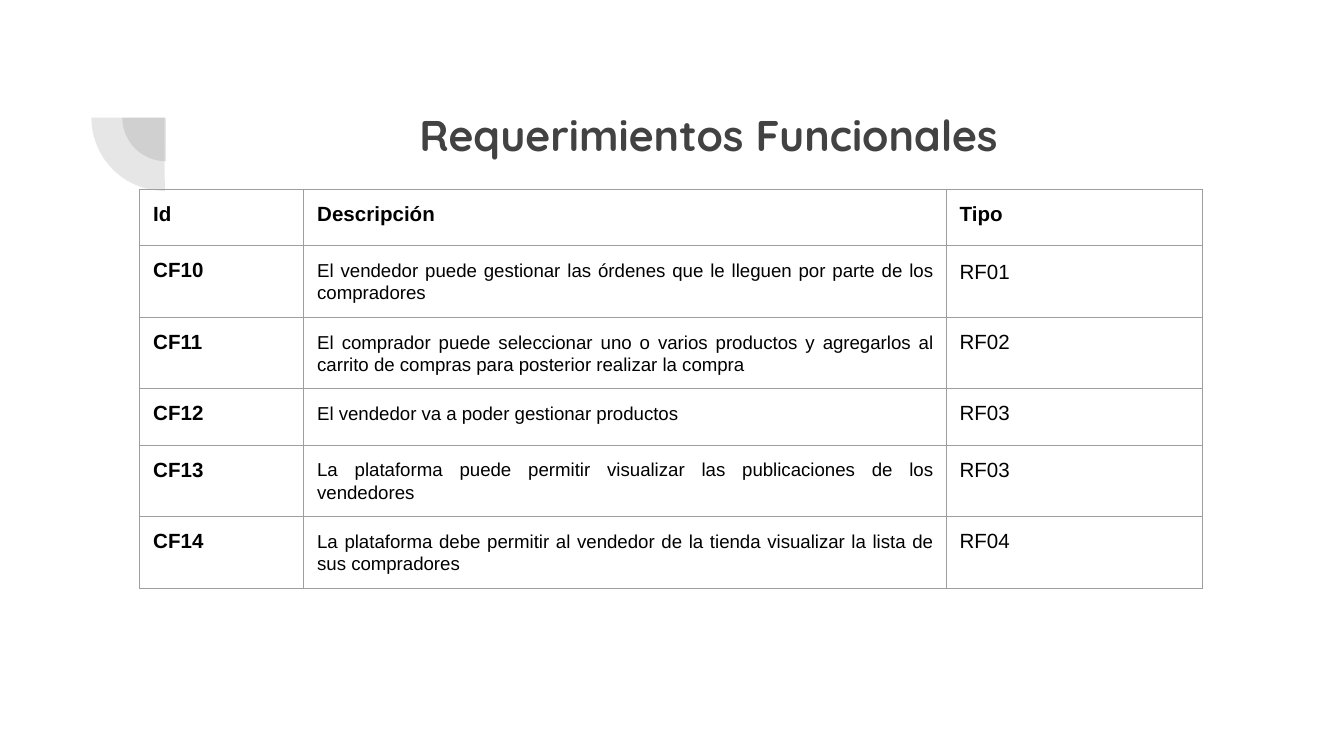
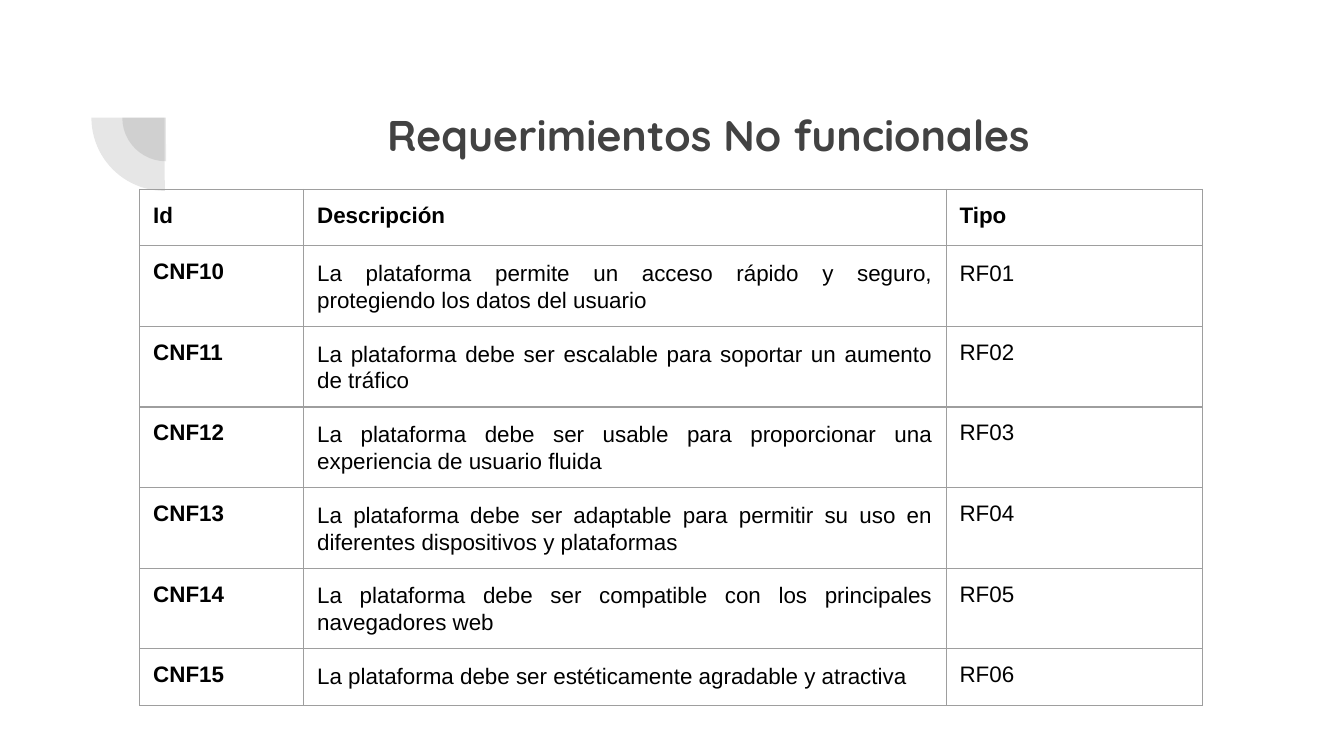
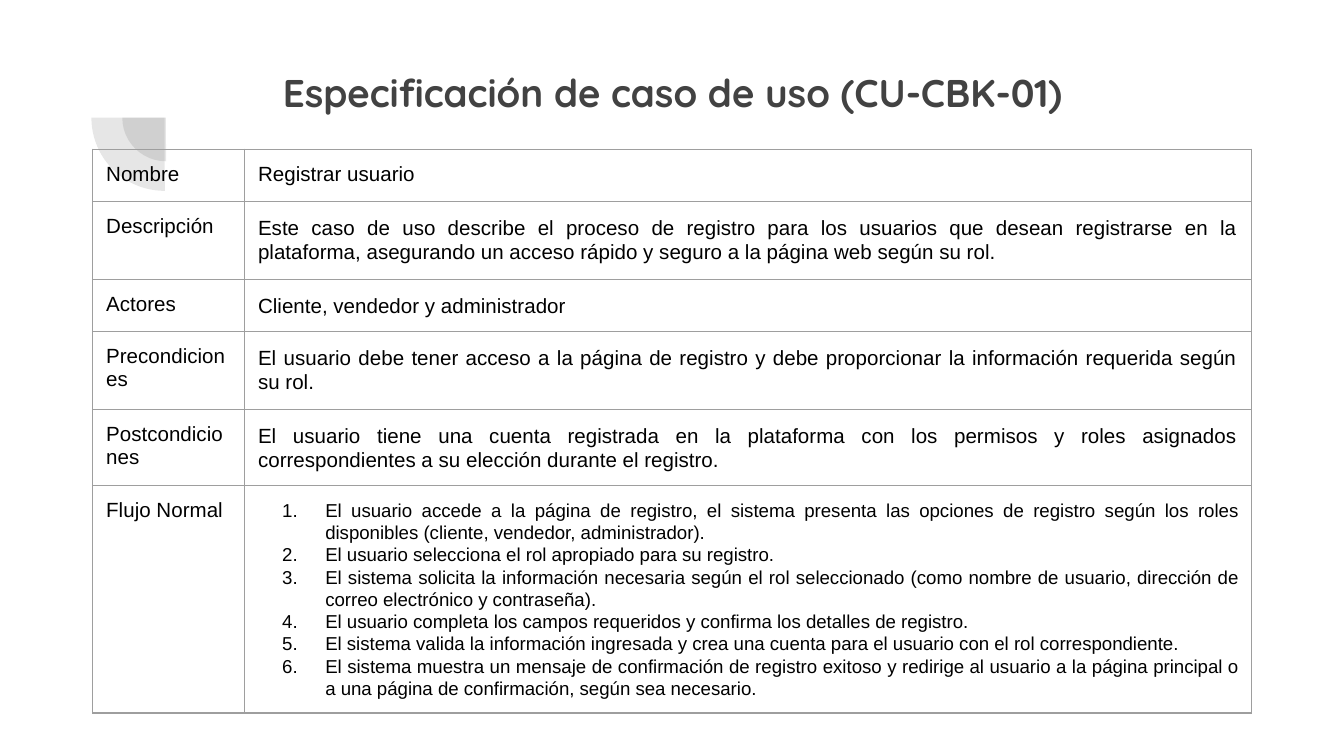
from dataclasses import dataclass

from lxml.etree import SubElement
from pptx import Presentation
from pptx.dml.color import RGBColor as RGB
from pptx.enum.shapes import MSO_SHAPE as Shape
from pptx.enum.text import MSO_ANCHOR as Anchor, MSO_AUTO_SIZE as AutoSize, PP_ALIGN as Align
from pptx.oxml.ns import qn
from pptx.util import Inches, Pt


@dataclass(frozen=True)
class Theme:
    title_font: str = "Quicksand"
    body_font: str = "Arial"
    accent: str = "424242"
    ink: str = "000000"
    border: str = "9E9E9E"
    border_width: float = 0.75
    pie_alpha: int = 13
    title_size: float = 23
    long_title_size: float = 20.7
    large: float = 12
    medium: float = 11
    small: float = 10
    inset: float = 0.1
    title_spacing: float = 1.15
    body_spacing: float = 1.07
    space_after: float = 12


THEME = Theme()
HEADER = ("Id", "Descripción", "Tipo")
REQUIREMENT_COLS = (1.22, 4.78, 1.91)

FUNCTIONAL = [
    ("CF10", "El vendedor puede gestionar las órdenes que le lleguen por parte de los compradores", "RF01"),
    ("CF11", "El comprador puede seleccionar uno o varios productos y agregarlos al carrito de compras "
             "para posterior realizar la compra", "RF02"),
    ("CF12", "El vendedor va a poder gestionar productos", "RF03"),
    ("CF13", "La plataforma puede permitir visualizar las publicaciones de los vendedores", "RF03"),
    ("CF14", "La plataforma debe permitir al vendedor de la tienda visualizar la lista de sus compradores", "RF04"),
]

NON_FUNCTIONAL = [
    ("CNF10", "La plataforma permite un acceso rápido y seguro, protegiendo los datos del usuario", "RF01"),
    ("CNF11", "La plataforma debe ser escalable para soportar un aumento de tráfico", "RF02"),
    ("CNF12", "La plataforma debe ser usable para proporcionar una experiencia de usuario fluida", "RF03"),
    ("CNF13", "La plataforma debe ser adaptable para permitir su uso en diferentes dispositivos y plataformas", "RF04"),
    ("CNF14", "La plataforma debe ser compatible con los principales navegadores web", "RF05"),
    ("CNF15", "La plataforma debe ser estéticamente agradable y atractiva", "RF06"),
]

USE_CASE = [
    ("Nombre", "Registrar usuario", 0.39),
    ("Descripción", "Este caso de uso describe el proceso de registro para los usuarios que desean registrarse "
                    "en la plataforma, asegurando un acceso rápido y seguro a la página web según su rol.", 0.58),
    ("Actores", "Cliente, vendedor y administrador", 0.39),
    ("Precondiciones", "El usuario debe tener acceso a la página de registro y debe proporcionar la información "
                       "requerida según su rol.", 0.58),
    ("Postcondiciones", "El usuario tiene una cuenta registrada en la plataforma con los permisos y roles asignados "
                        "correspondientes a su elección durante el registro.", 0.42),
]

NORMAL_FLOW = [
    "El usuario accede a la página de registro, el sistema presenta las opciones de registro según los roles "
    "disponibles (cliente, vendedor, administrador).",
    "El usuario selecciona el rol apropiado para su registro.",
    "El sistema solicita la información necesaria según el rol seleccionado (como nombre de usuario, dirección de "
    "correo electrónico y contraseña).",
    "El usuario completa los campos requeridos y confirma los detalles de registro.",
    "El sistema valida la información ingresada y crea una cuenta para el usuario con el rol correspondiente.",
    "El sistema muestra un mensaje de confirmación de registro exitoso y redirige al usuario a la página principal o "
    "a una página de confirmación, según sea necesario.",
]


def add_run(p, text, font, size, color, bold=False):
    r = p.add_run()
    r.text = text
    r.font.name = font
    r.font.size = Pt(size)
    r.font.bold = bold
    r.font.color.rgb = RGB.from_string(color)


def set_spacing(p, align, line, after):
    p.alignment = align
    p.line_spacing = line
    p.space_before = Pt(0)
    p.space_after = Pt(after)


def set_insets(target):
    for side in ("left", "top", "right", "bottom"):
        setattr(target, f"margin_{side}", Inches(THEME.inset))


def add_pie(slide, left, top, size):
    sp = slide.shapes.add_shape(Shape.PIE, Inches(left), Inches(top), Inches(size), Inches(size))
    sp.adjustments[0] = 107.93
    sp.adjustments[1] = 162
    sp.rotation = 270
    sp.shadow.inherit = False
    sp.line.fill.background()
    sp.fill.solid()
    sp.fill.fore_color.rgb = RGB.from_string(THEME.accent)
    color = next(sp.fill._xPr.iter(qn("a:srgbClr")))
    SubElement(color, qn("a:alpha"), val=str(THEME.pie_alpha * 1000))


def add_title(slide, text, left, top, size):
    tf = slide.shapes.add_textbox(Inches(left), Inches(top), Inches(7.69), Inches(0.49)).text_frame
    tf.word_wrap = True
    tf.auto_size = AutoSize.NONE
    tf.vertical_anchor = Anchor.TOP
    set_insets(tf)
    p = tf.paragraphs[0]
    set_spacing(p, Align.CENTER, THEME.title_spacing, THEME.space_after)
    add_run(p, text, THEME.title_font, size, THEME.accent, True)


def add_titled_slide(prs, title, left=1.43, top=0.65, size=THEME.title_size):
    slide = prs.slides.add_slide(prs.slide_layouts[6])
    add_pie(slide, 0.91, 0.55, 0.65)
    add_pie(slide, 0.68, 0.33, 1.09)
    add_title(slide, title, left, top, size)
    return slide


def set_borders(cell):
    tc_pr = cell._tc.get_or_add_tcPr()
    for side in ("lnL", "lnR", "lnT", "lnB"):
        ln = SubElement(tc_pr, qn(f"a:{side}"), w=str(Pt(THEME.border_width)))
        fill = SubElement(ln, qn("a:solidFill"))
        SubElement(fill, qn("a:srgbClr"), val=THEME.border)


def add_grid(slide, left, top, cols, rows):
    frame = slide.shapes.add_table(len(rows), len(cols), Inches(left), Inches(top),
                                   Inches(sum(cols)), Inches(sum(rows)))
    table = frame.table
    table.first_row = table.horz_banding = False
    for column, width in zip(table.columns, cols):
        column.width = Inches(width)
    for row, height in zip(table.rows, rows):
        row.height = Inches(height)
    for cell in table.iter_cells():
        cell.text_frame.auto_size = AutoSize.NONE
        set_insets(cell)
        set_borders(cell)
        cell.fill.background()
    return table


def write_cell(cell, text, size, bold=False, justified=False):
    p = cell.text_frame.paragraphs[0]
    if justified:
        set_spacing(p, Align.JUSTIFY, THEME.body_spacing, THEME.space_after)
    add_run(p, text, THEME.body_font, size, THEME.ink, bold)


def write_numbered(cell, steps, size):
    tf = cell.text_frame
    for i, step in enumerate(steps):
        p = tf.add_paragraph() if i else tf.paragraphs[0]
        set_spacing(p, Align.JUSTIFY, THEME.body_spacing, 0)
        p_pr = p._p.get_or_add_pPr()
        p_pr.set("marL", str(Inches(0.5)))
        p_pr.set("indent", str(-Inches(0.32)))
        SubElement(SubElement(p_pr, qn("a:buClr")), qn("a:srgbClr"), val=THEME.ink)
        SubElement(p_pr, qn("a:buSzPts"), val=str(int(size * 100)))
        SubElement(p_pr, qn("a:buFont"), typeface=THEME.body_font)
        SubElement(p_pr, qn("a:buAutoNum"), type="arabicPeriod")
        add_run(p, step, THEME.body_font, size, THEME.ink)


def add_requirements(prs, title, requirements, size, description_size):
    slide = add_titled_slide(prs, title)
    table = add_grid(slide, 1.04, 1.41, REQUIREMENT_COLS, [0.42] * (len(requirements) + 1))
    for col, label in enumerate(HEADER):
        write_cell(table.cell(0, col), label, size, bold=True)
    for row, (code, description, kind) in enumerate(requirements, 1):
        write_cell(table.cell(row, 0), code, size, bold=True)
        write_cell(table.cell(row, 1), description, description_size, justified=True)
        write_cell(table.cell(row, 2), kind, size, justified=row == 1)


def add_use_case(prs):
    slide = add_titled_slide(prs, "Especificación de caso de uso (CU-CBK-01)", 1.16, 0.36, THEME.long_title_size)
    heights = [height for _, _, height in USE_CASE] + [1.17]
    table = add_grid(slide, 0.69, 1.11, (1.13, 7.49), heights)
    for row, (label, text, _) in enumerate(USE_CASE):
        write_cell(table.cell(row, 0), label, THEME.medium)
        write_cell(table.cell(row, 1), text, THEME.medium, justified=row > 0)
    flow_row = len(USE_CASE)
    write_cell(table.cell(flow_row, 0), "Flujo Normal", THEME.medium)
    write_numbered(table.cell(flow_row, 1), NORMAL_FLOW, THEME.small)


def main():
    prs = Presentation()
    prs.slide_width = Inches(10)
    prs.slide_height = prs.slide_width * 9 // 16
    add_requirements(prs, "Requerimientos Funcionales", FUNCTIONAL, THEME.medium, THEME.small)
    add_requirements(prs, "Requerimientos No funcionales", NON_FUNCTIONAL, THEME.large, THEME.large)
    add_use_case(prs)
    prs.save("out.pptx")


if __name__ == "__main__":
    main()
